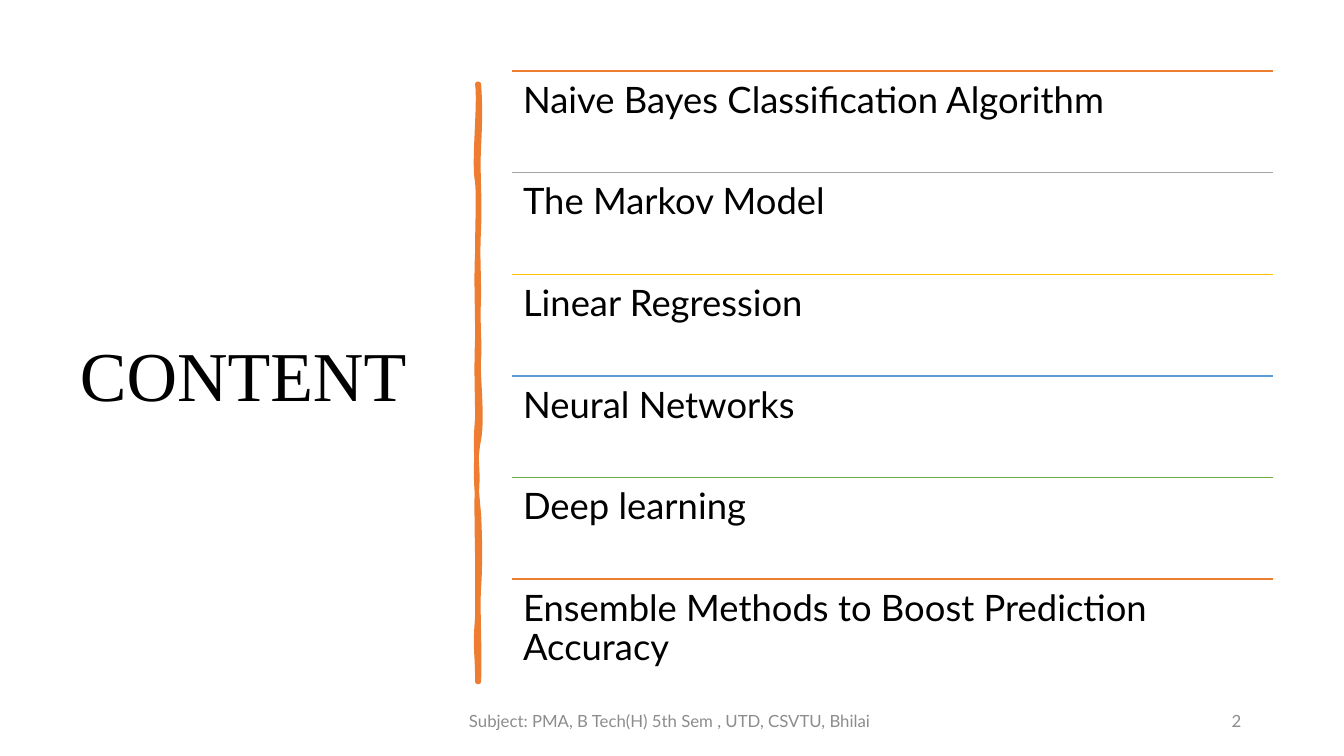
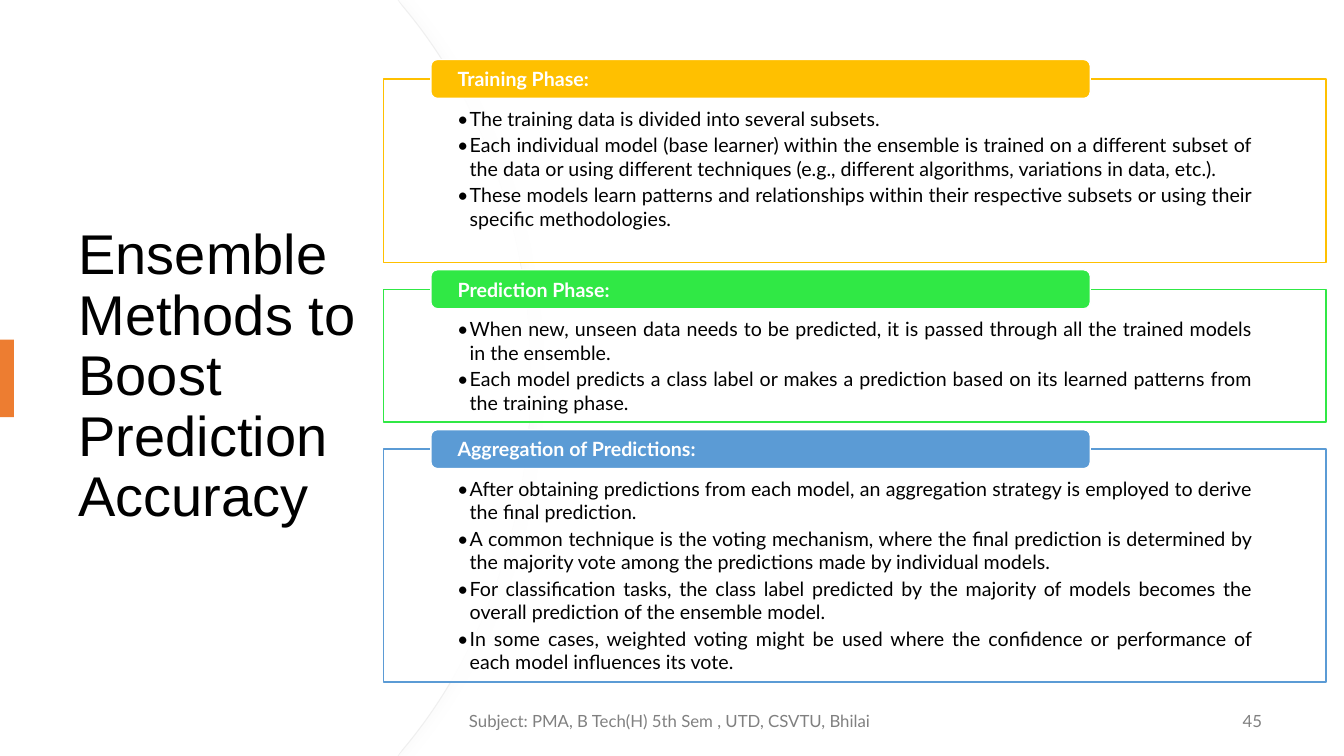
"""Build two lecture slides: the content list and the ensemble method phases."""
from lxml import etree
from pptx import Presentation
from pptx.dml.color import RGBColor
from pptx.enum.shapes import MSO_CONNECTOR, MSO_SHAPE
from pptx.enum.text import MSO_ANCHOR, PP_ALIGN
from pptx.oxml.ns import qn
from pptx.util import Pt

RECT, ROUND = MSO_SHAPE.RECTANGLE, MSO_SHAPE.ROUNDED_RECTANGLE
TOP, MIDDLE = MSO_ANCHOR.TOP, MSO_ANCHOR.MIDDLE
LEFT, CENTER, RIGHT, JUSTIFY = PP_ALIGN.LEFT, PP_ALIGN.CENTER, PP_ALIGN.RIGHT, PP_ALIGN.JUSTIFY

COLORS = {
    "black": "000000", "white": "FFFFFF", "orange": "ED7D31", "gray": "A5A5A5",
    "gold": "FFC000", "blue": "5B9BD5", "green": "70AD47", "lime": "30E845",
    "footer_light": "8C8C8C", "footer_dark": "808080", "edge": "EFEFEF", "shade": "D9D9D9",
}
BODY_FONT = "Lato"
FOOTER = "Subject: PMA, B Tech(H) 5th Sem , UTD, CSVTU, Bhilai"
INSETS = (7.2, 3.6, 7.2, 3.6)

TOPICS = [
    ("Naive Bayes Classification Algorithm", "orange"),
    ("The Markov Model", "gray"),
    ("Linear Regression", "gold"),
    ("Neural Networks", "blue"),
    ("Deep learning", "green"),
    ("Ensemble Methods to Boost Prediction Accuracy", "orange"),
]
PHASES = [
    ("Training Phase:", "gold", 131, [
        "The training data is divided into several subsets.",
        "Each individual model (base learner) within the ensemble is trained on a different subset "
        "of the data or using different techniques (e.g., different algorithms, variations in data, etc.).",
        "These models learn patterns and relationships within their respective subsets or using "
        "their specific methodologies.",
    ]),
    ("Prediction Phase:", "lime", 95, [
        "When new, unseen data needs to be predicted, it is passed through all the trained models "
        "in the ensemble.",
        "Each model predicts a class label or makes a prediction based on its learned patterns "
        "from the training phase.",
    ]),
    ("Aggregation of Predictions:", "blue", 166.5, [
        "After obtaining predictions from each model, an aggregation strategy is employed to "
        "derive the final prediction.",
        "A common technique is the voting mechanism, where the final prediction is determined by "
        "the majority vote among the predictions made by individual models.",
        "For classification tasks, the class label predicted by the majority of models becomes "
        "the overall prediction of the ensemble model.",
        "In some cases, weighted voting might be used where the confidence or performance of each "
        "model influences its vote.",
    ]),
]

BRUSH_START = (342, 60.5)
BRUSH_CURVES = [
    [(343.4, 73.4), (343.4, 85.7), (342, 105.1)],
    [(340.6, 124.6), (342.7, 140.4), (342, 162.7)],
    [(341.3, 185), (342, 188.6), (342, 211.7)],
    [(341.3, 234), (343.4, 246.2), (342, 256.3)],
    [(340.6, 266.4), (344.9, 298.1), (342, 313.9)],
    [(339.1, 329), (339.8, 348.5), (342, 367.2)],
    [(343.4, 385.9), (343.4, 406.1), (342, 420.5)],
    [(340.6, 434.2), (342.7, 468), (342, 486.7)],
    [(341.3, 486.7), (340.6, 486.7), (340.6, 486.7)],
    [(341.3, 465.1), (339.1, 463.7), (340.6, 441.4)],
    [(341.3, 419.8), (341.3, 410.4), (340.6, 401)],
    [(341.3, 391.7), (339.8, 356.4), (340.6, 343.4)],
    [(340.6, 330.5), (339.1, 320.4), (340.6, 298.8)],
    [(341.3, 277.9), (339.8, 268.6), (340.6, 241.2)],
    [(341.3, 214.6), (339.8, 202.3), (340.6, 180)],
    [(341.3, 157), (342, 144), (340.6, 130.3)],
    [(338.4, 117.4), (343.4, 74.9), (340.6, 60.5)],
]


def rgb(name):
    return RGBColor.from_string(COLORS[name])


def paint(shape, fill, line=None, width=1):
    shape.shadow.inherit = False
    shape.fill.solid()
    shape.fill.fore_color.rgb = rgb(fill)
    if line:
        shape.line.color.rgb = rgb(line)
        shape.line.width = Pt(width)
    else:
        shape.line.fill.background()
    return shape


def add_outline(page, start, pieces, fill, line=None, width=1):
    """Draw an outline whose pieces are one point (line) or three points (Bezier curve)."""
    builder = page.shapes.build_freeform(*start, scale=Pt(1))
    builder.add_line_segments([point for piece in pieces for point in piece], close=True)
    shape = builder.convert_to_shape()
    segments = iter(list(shape._element.iter(qn("a:lnTo"))))
    for piece in pieces:
        first = next(segments)
        if len(piece) == 3:
            first.tag = qn("a:cubicBezTo")
            for _ in range(2):
                control = next(segments)
                first.append(control[0])
                control.getparent().remove(control)
    return paint(shape, fill, line, width)


def add_block(page, kind, place, fill, line=None):
    return paint(page.shapes.add_shape(kind, *map(Pt, place)), fill, line)


def add_text(page, place, texts, size, color="black", font=BODY_FONT, align=LEFT, anchor=TOP,
             insets=INSETS, spacing=1.0, after=0, bold=False, bullets=False):
    frame = page.shapes.add_textbox(*map(Pt, place)).text_frame
    frame.word_wrap = True
    frame.vertical_anchor = anchor
    frame.margin_left, frame.margin_top, frame.margin_right, frame.margin_bottom = map(Pt, insets)
    for index, text in enumerate(texts):
        para = frame.add_paragraph() if index else frame.paragraphs[0]
        para.text = text
        para.alignment = align
        if bullets:
            props = para._p.get_or_add_pPr()
            props.set("marL", str(Pt(9)))
            props.set("indent", str(-Pt(9)))
            etree.SubElement(props, qn("a:buFont"), typeface=BODY_FONT)
            etree.SubElement(props, qn("a:buChar"), char="•")
        para.line_spacing = spacing
        para.space_after = Pt(after)
        para.font.size = Pt(size)
        para.font.name = font
        para.font.bold = bold
        para.font.color.rgb = rgb(color)


def add_title(page, place, text, size, font):
    add_text(page, place, [text], size, font=font, anchor=MIDDLE, spacing=0.9)


def add_footer(page, number, number_left, color):
    for text, left, width, align in ((FOOTER, 316.4, 324, CENTER),
                                     (number, number_left, 216, RIGHT)):
        add_text(page, (left, 500.5, width, 28.75), [text], 12, color=color,
                 align=align, anchor=MIDDLE)


def add_rule(page, left, top, width, color):
    rule = page.shapes.add_connector(MSO_CONNECTOR.STRAIGHT, Pt(left), Pt(top),
                                     Pt(left + width), Pt(top))
    rule.line.color.rgb = rgb(color)
    rule.line.width = Pt(1)
    etree.SubElement(rule._element.spPr, qn("a:effectLst"))


def add_shadow(shape):
    effects = shape._element.spPr.find(qn("a:effectLst"))
    shadow = etree.SubElement(effects, qn("a:outerShdw"), blurRad=str(Pt(7)),
                              dist=str(Pt(3)), dir="0")
    color = etree.SubElement(shadow, qn("a:srgbClr"), val=COLORS["shade"])
    etree.SubElement(color, qn("a:alpha"), val="10000")


def set_opacity(shape, percent):
    color = shape._element.spPr.find(qn("a:solidFill")).find(qn("a:srgbClr"))
    etree.SubElement(color, qn("a:alpha"), val=str(percent * 1000))


def build_content(page):
    add_title(page, (50, 50.4, 269.3, 440), "CONTENT", 50, "Times New Roman")
    brush = add_outline(page, BRUSH_START, BRUSH_CURVES, "orange", "orange", 3.25)
    etree.SubElement(brush._element.spPr.find(qn("a:ln")), qn("a:round"))
    left, top, width, pitch = 365.8, 50.7, 543.6, 72.6
    for index, (topic, color) in enumerate(TOPICS):
        row_top = top + index * pitch
        add_rule(page, left, row_top, width, color)
        add_text(page, (left, row_top, width, pitch), [topic], 26, insets=(7.8,) * 4, spacing=0.9)
    add_footer(page, "2", 677.8, "footer_light")


def arc_pieces(right):
    shoulder = right - 90.7
    return [
        [(283.7, 0)],
        [(shoulder, 5.8)],
        [(right - 34.6, 73.4), (right, 167), (right, 270)],
        [(right, 373), (right - 34.6, 466.6), (shoulder, 534.2)],
        [(283.7, 540)],
        [(0, 540)],
    ]


def build_phases(page):
    add_shadow(add_outline(page, (0, 0), arc_pieces(379.4), "white", "edge", 0.75))
    add_outline(page, (0, 0), arc_pieces(378.7), "white")
    add_title(page, (49, 91.4, 283.7, 356.4),
              "Ensemble Methods to Boost Prediction Accuracy", 40, "Arial")
    add_block(page, RECT, (0, 242.6, 10, 55.4), "orange")
    add_footer(page, "45", 692.6, "footer_dark")
    top, gap = 56.4, 19.2
    for heading, color, height, points in PHASES:
        panel = (274, top, 673.2, height)
        set_opacity(add_block(page, RECT, panel, "white", color), 90)
        add_text(page, panel, points, 14, align=JUSTIFY, insets=(52.5, 19.8, 52.5, 6),
                 after=2.1, bullets=True)
        add_block(page, ROUND, (307.8, top - 13.9, 471, 27.8), color, "white")
        add_text(page, (309, top - 12.5, 468.6, 25), [heading], 14, color="white", align=JUSTIFY,
                 anchor=MIDDLE, insets=(17.8, 0, 17.8, 0), bold=True)
        top += height + gap


def main():
    deck = Presentation()
    deck.slide_width, deck.slide_height = Pt(960), Pt(540)
    for build in (build_content, build_phases):
        build(deck.slides.add_slide(deck.slide_layouts[6]))
    deck.save("out.pptx")


if __name__ == "__main__":
    main()
